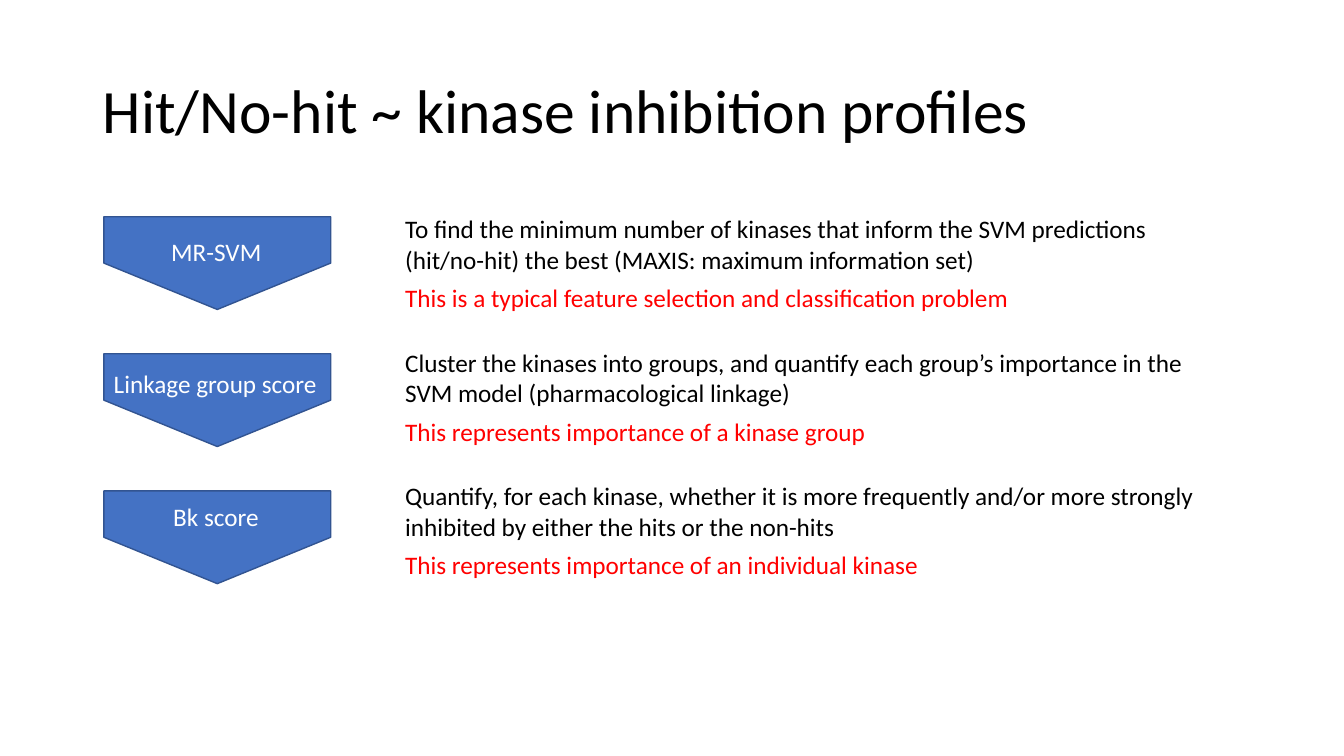
from pptx import Presentation
from pptx import util as u
from pptx.dml.color import RGBColor
from pptx.enum import shapes, text

BLACK = RGBColor(0x00, 0x00, 0x00)
WHITE = RGBColor(0xFF, 0xFF, 0xFF)
RED = RGBColor(0xFF, 0x00, 0x00)
BLUE = RGBColor(0x44, 0x72, 0xC4)
DARK_BLUE = RGBColor(0x32, 0x54, 0x91)

ARROW_TOP, ARROW_PITCH = 2.15, 1.36
LABEL_TOP, LABEL_PITCH = 2.3, 1.31
DETAIL_TOP, DETAIL_PITCH = 2.07, 1.325
STEPS = [
    ("MR-SVM", 1.1,
     "To find the minimum number of kinases that inform the SVM predictions "
     "(hit/no-hit) the best (MAXIS: maximum information set)",
     "This is a typical feature selection and classification problem"),
    ("Linkage group score", 2.24,
     "Cluster the kinases into groups, and quantify each group’s importance "
     "in the SVM model (pharmacological linkage)",
     "This represents importance of a kinase group"),
    ("Bk score", 1.06,
     "Quantify, for each kinase, whether it is more frequently and/or more "
     "strongly inhibited by either the hits or the non-hits",
     "This represents importance of an individual kinase"),
]


def set_attributes(target, values):
    """Set every attribute of the target from a dict."""
    for name, value in values.items():
        setattr(target, name, value)


def place(shape, left, top, width, height):
    """Move and size a shape, in inches."""
    set_attributes(shape, {"left": u.Inches(left), "top": u.Inches(top),
                           "width": u.Inches(width), "height": u.Inches(height)})


def write_paragraph(paragraph, words, size, color, **layout):
    """Write one formatted run and set the paragraph's layout."""
    run = paragraph.add_run()
    run.text = words
    set_attributes(run.font, {"name": "Calibri", "size": u.Pt(size)})
    run.font.color.rgb = color
    set_attributes(paragraph, layout)


def add_title(slide, left, top, width, height):
    """Place and fill the title placeholder."""
    title = slide.shapes.title
    place(title, left, top, width, height)
    title.text_frame.vertical_anchor = text.MSO_ANCHOR.MIDDLE
    write_paragraph(title.text_frame.paragraphs[0],
                    "Hit/No-hit ~ kinase inhibition profiles", 44, BLACK,
                    alignment=text.PP_ALIGN.LEFT, line_spacing=0.9)


def add_arrow(slide, left, top, width, height):
    """Draw a downward pentagon that fills the given box."""
    arrow = slide.shapes.add_shape(shapes.MSO_SHAPE.PENTAGON, 0, 0, 0, 0)
    place(arrow, left + (width - height) / 2, top + (height - width) / 2,
          height, width)
    arrow.rotation = 90
    arrow.shadow.inherit = False
    arrow.fill.solid()
    arrow.fill.fore_color.rgb = BLUE
    arrow.line.color.rgb = DARK_BLUE
    arrow.line.width = u.Pt(1)


def add_text(slide, left, top, width, height, wrap):
    """Add an empty text box and return its frame."""
    box = slide.shapes.add_textbox(0, 0, 0, 0)
    place(box, left, top, width, height)
    set_attributes(box.text_frame, {
        "word_wrap": wrap, "auto_size": text.MSO_AUTO_SIZE.SHAPE_TO_FIT_TEXT})
    return box.text_frame


def add_label(slide, center, top, width, words):
    """Write a step name centred over its arrow."""
    frame = add_text(slide, center - width / 2, top, width, 0.4, False)
    write_paragraph(frame.paragraphs[0], words, 18, WHITE)


def add_detail(slide, left, top, width, height, aim, remark):
    """Write a step's aim and the red remark below it."""
    frame = add_text(slide, left, top, width, height, True)
    write_paragraph(frame.paragraphs[0], aim, 18, BLACK, space_after=u.Pt(6))
    write_paragraph(frame.add_paragraph(), remark, 18, RED, space_after=u.Pt(6))


def main():
    """Build and save the slide."""
    presentation = Presentation()
    set_attributes(presentation, {"slide_width": u.Inches(13.33),
                                  "slide_height": u.Inches(7.5)})
    slide = presentation.slides.add_slide(presentation.slide_layouts[5])
    add_title(slide, 0.92, 0.4, 11.5, 1.45)
    for row, (label, label_width, aim, remark) in enumerate(STEPS):
        add_arrow(slide, 1.03, ARROW_TOP + row * ARROW_PITCH, 2.25, 0.92)
        add_label(slide, 2.15, LABEL_TOP + row * LABEL_PITCH, label_width, label)
        add_detail(slide, 3.92, DETAIL_TOP + row * DETAIL_PITCH, 8.21, 1.09,
                   aim, remark)
    presentation.save("out.pptx")


if __name__ == "__main__":
    main()
